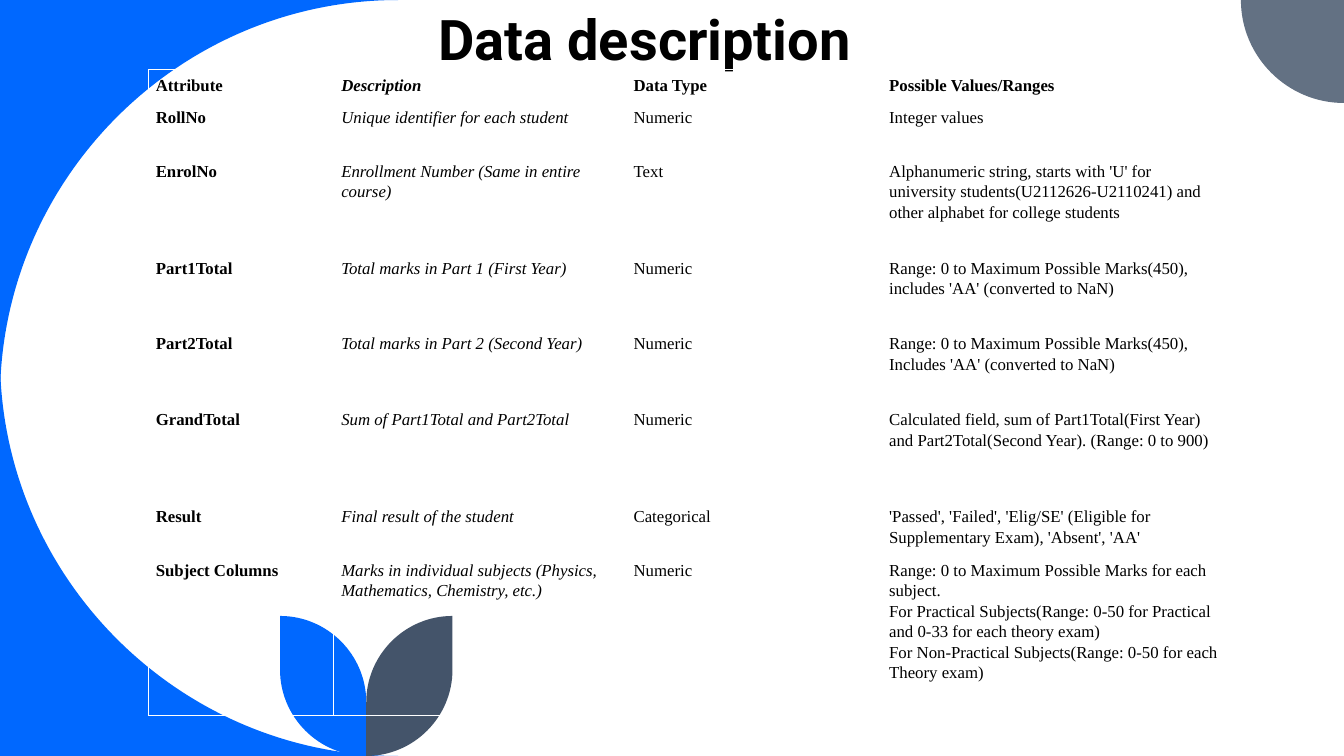
from dataclasses import dataclass

from lxml.etree import SubElement
from pptx import Presentation
from pptx.dml.color import RGBColor
from pptx.enum.text import MSO_ANCHOR, PP_ALIGN
from pptx.oxml.ns import qn
from pptx.shapes.autoshape import Shape
from pptx.slide import Slide
from pptx.table import _Cell as Cell
from pptx.util import Pt

BLUE = RGBColor(0x00, 0x68, 0xFF)
GRAY = RGBColor(0x63, 0x71, 0x83)
SLATE = RGBColor(0x44, 0x54, 0x6A)
BLACK = RGBColor(0x00, 0x00, 0x00)
WHITE = RGBColor(0xFF, 0xFF, 0xFF)

SLIDE_WIDTH, SLIDE_HEIGHT = 960, 540
CURVE_RADIUS = 284.4
CORNER_RADIUS = 73.6
LEAF_RADIUS = 61.6
LEAF_TOP = 440
STEM_X = 261.6
ARC_RATIO = 0.55

Point = tuple[float, float]
Segment = tuple[Point, ...]


@dataclass(frozen=True)
class Ornament:
    """An outline of segments: one point is a line, three are a cubic curve."""
    start: Point
    segments: list[Segment]
    color: RGBColor


@dataclass(frozen=True)
class Attribute:
    name: str
    description: str
    data_type: str
    values: str
    height: float


TABLE_LEFT, TABLE_TOP = 105.9, 49.7
COLUMN_WIDTHS = (132.5, 208.8, 91.3, 91.3, 249.3)
CELL_MARGINS = {"margin_left": 5.4, "margin_right": 5.4, "margin_top": 3.6, "margin_bottom": 3.6}
ATTRIBUTES = (
    Attribute("Attribute ", "Description ", "Data Type ", "Possible Values/Ranges ", 23),
    Attribute("RollNo ", "Unique identifier for each student ", "Numeric ", "Integer values ", 38.3),
    Attribute("EnrolNo ", "Enrollment Number (Same in entire course) ", "Text ",
              "Alphanumeric string, starts with 'U' for university "
              "students(U2112626-U2110241) and other alphabet for college students ", 69.2),
    Attribute("Part1Total ", "Total marks in Part 1 (First Year) ", "Numeric ",
              "Range: 0 to Maximum Possible Marks(450), includes 'AA' (converted to NaN) ", 54.2),
    Attribute("Part2Total ", "Total marks in Part 2 (Second Year) ", "Numeric ",
              "Range: 0 to Maximum Possible Marks(450), Includes 'AA' (converted to NaN) ", 54.2),
    Attribute("GrandTotal ", "Sum of Part1Total and Part2Total ", "Numeric ",
              "Calculated field, sum of Part1Total(First Year) and "
              "Part2Total(Second Year). (Range: 0 to 900) ", 69.2),
    Attribute("Result ", "Final result of the student ", "Categorical ",
              "'Passed', 'Failed', 'Elig/SE' (Eligible for Supplementary Exam), "
              "'Absent', 'AA' ", 38.3),
    Attribute("Subject Columns ",
              "Marks in individual subjects (Physics, Mathematics, Chemistry, etc.) ", "Numeric ",
              "Range: 0 to Maximum Possible Marks for each subject.  \n"
              "For Practical Subjects(Range: 0-50 for Practical and 0-33 for each theory exam) \n"
              "For Non-Practical Subjects(Range: 0-50 for each Theory exam) ", 115.2),
)


def quarter_arc(start: Point, corner: Point, end: Point) -> Segment:
    """A quarter circle whose tangents at both ends meet at the corner."""
    def toward_corner(point: Point) -> Point:
        return (point[0] + ARC_RATIO * (corner[0] - point[0]),
                point[1] + ARC_RATIO * (corner[1] - point[1]))
    return toward_corner(start), toward_corner(end), end


def leaf(direction: int, color: RGBColor) -> Ornament:
    """A leaf beside the stem: direction -1 is left, 1 is right."""
    tip_x = STEM_X + direction * LEAF_RADIUS
    shoulder = (tip_x, SLIDE_HEIGHT - LEAF_RADIUS)
    inner = (STEM_X, LEAF_TOP + LEAF_RADIUS)
    tip = (tip_x, LEAF_TOP)
    return Ornament(tip, [
        (shoulder,),
        quarter_arc(shoulder, (tip_x, SLIDE_HEIGHT), (STEM_X, SLIDE_HEIGHT)),
        (inner,),
        quarter_arc(inner, (STEM_X, LEAF_TOP), tip),
    ], color)


def left_corner(corner_y: float, side_y: float) -> Ornament:
    corner, top, side = (0, corner_y), (CURVE_RADIUS, corner_y), (0, side_y)
    return Ornament(corner, [(top,), quarter_arc(top, corner, side)], BLUE)


def right_corner() -> Ornament:
    left, bottom = (SLIDE_WIDTH - CORNER_RADIUS, 0), (SLIDE_WIDTH, CORNER_RADIUS)
    arc = quarter_arc(left, (left[0], bottom[1]), bottom)
    return Ornament((SLIDE_WIDTH, 0), [(left,), arc], GRAY)


def bend_curves(shape: Shape, segments: list[Segment]) -> None:
    """Turn each run of three lines that stands for a curve into one cubic curve."""
    lines = iter(list(shape._element.iter(qn("a:lnTo"))))
    for segment in segments:
        parts = [next(lines) for _ in segment]
        if len(parts) == 3:
            curve = parts[0].makeelement(qn("a:cubicBezTo"))
            parts[0].addprevious(curve)
            for part in parts:
                curve.append(part[0])
                part.getparent().remove(part)


def draw_ornament(slide: Slide, ornament: Ornament) -> None:
    builder = slide.shapes.build_freeform(*map(Pt, ornament.start))
    vertices = [(Pt(x), Pt(y)) for segment in ornament.segments for x, y in segment]
    builder.add_line_segments(vertices, close=True)
    shape = builder.convert_to_shape()
    bend_curves(shape, ornament.segments)
    shape.shadow.inherit = False
    shape.fill.solid()
    shape.fill.fore_color.rgb = ornament.color
    shape.line.fill.background()


def format_text(text_frame, line_spacing: float, font_values: dict) -> None:
    for paragraph in text_frame.paragraphs:
        paragraph.alignment = PP_ALIGN.LEFT
        paragraph.line_spacing = line_spacing
        for run in paragraph.runs:
            for name, value in font_values.items():
                setattr(run.font, name, value)
            run.font.color.rgb = BLACK


def draw_title(slide: Slide) -> None:
    shape = slide.shapes.add_textbox(Pt(306), Pt(-7.6), Pt(521.3), Pt(78.5))
    text_frame = shape.text_frame
    text_frame.word_wrap = True
    text_frame.vertical_anchor = MSO_ANCHOR.MIDDLE
    text_frame.text = "Data description"
    format_text(text_frame, 0.8, {"name": "Roboto", "size": Pt(40), "bold": True})


def add_borders(cell: Cell) -> None:
    properties = cell._tc.get_or_add_tcPr()
    for side in ("a:lnL", "a:lnR", "a:lnT", "a:lnB"):
        line = SubElement(properties, qn(side), w=str(Pt(0.75)))
        fill = SubElement(line, qn("a:solidFill"))
        SubElement(fill, qn("a:srgbClr"), val=str(WHITE))


def draw_table(slide: Slide) -> None:
    frame = slide.shapes.add_table(
        len(ATTRIBUTES), len(COLUMN_WIDTHS), Pt(TABLE_LEFT), Pt(TABLE_TOP),
        Pt(sum(COLUMN_WIDTHS)), Pt(sum(attribute.height for attribute in ATTRIBUTES)))
    table = frame.table
    table.first_row = table.horz_banding = False
    for column, width in zip(table.columns, COLUMN_WIDTHS):
        column.width = Pt(width)
    for row_index, attribute in enumerate(ATTRIBUTES):
        table.rows[row_index].height = Pt(attribute.height)
        # The data type spans the third and fourth columns.
        table.cell(row_index, 2).merge(table.cell(row_index, 3))
        texts = (attribute.name, attribute.description, attribute.data_type, "", attribute.values)
        for column_index, text in enumerate(texts):
            cell = table.cell(row_index, column_index)
            add_borders(cell)
            cell.fill.background()
            for name, value in CELL_MARGINS.items():
                setattr(cell, name, Pt(value))
            cell.text = text
            format_text(cell.text_frame, Pt(14.6), {
                "name": "Times New Roman", "size": Pt(12),
                "bold": row_index == 0 or column_index == 0, "italic": column_index == 1,
            })


def main() -> None:
    presentation = Presentation()
    presentation.slide_width = Pt(SLIDE_WIDTH)
    presentation.slide_height = Pt(SLIDE_HEIGHT)
    slide = presentation.slides.add_slide(presentation.slide_layouts[6])
    for ornament in (left_corner(0, CURVE_RADIUS),
                     left_corner(SLIDE_HEIGHT, SLIDE_HEIGHT - CURVE_RADIUS),
                     right_corner(), leaf(-1, BLUE), leaf(1, SLATE)):
        draw_ornament(slide, ornament)
    draw_title(slide)
    draw_table(slide)
    presentation.save("out.pptx")


if __name__ == "__main__":
    main()
